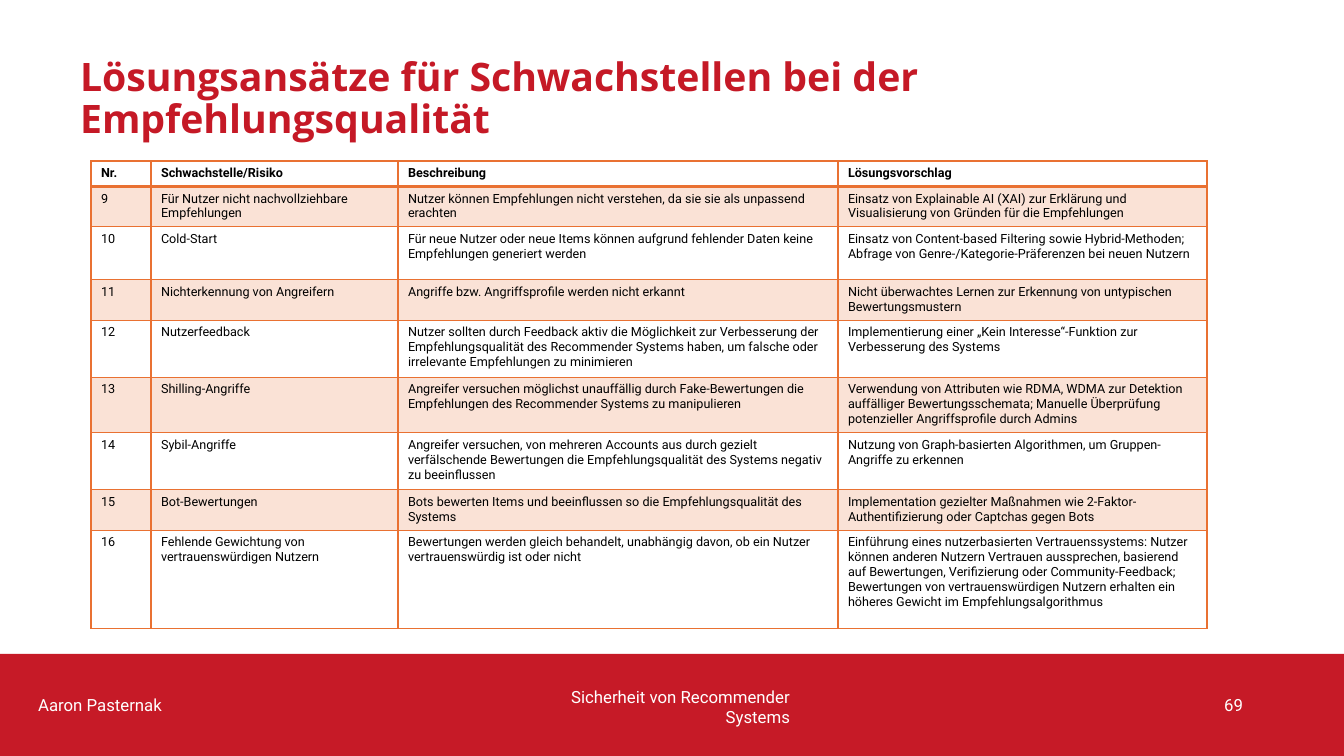
from lxml import etree
from pptx import Presentation
from pptx.dml.color import RGBColor
from pptx.enum.shapes import MSO_SHAPE
from pptx.enum.text import MSO_ANCHOR, MSO_AUTO_SIZE, PP_ALIGN
from pptx.oxml.ns import qn
from pptx.util import Pt

RECTANGLE = MSO_SHAPE.RECTANGLE
MIDDLE = MSO_ANCHOR.MIDDLE
NO_FIT = MSO_AUTO_SIZE.NONE
LEFT = PP_ALIGN.LEFT
RIGHT = PP_ALIGN.RIGHT

EMU_PER_PX = 12192000 / 1344
POINT = 12700
TITLE_ONLY = 5

COLORS = {
    "title": "C51926",
    "band": "C61A27",
    "accent": "E97132",
    "text": "000000",
    "light": "FFFFFF",
}

FONTS = {
    "title": {"name": "Open Sans", "size": Pt(28), "bold": True},
    "footer": {"name": "Roboto", "size": Pt(12)},
    "header": {"name": "Roboto", "size": Pt(9), "bold": True},
    "body": {"name": "Roboto", "size": Pt(9), "bold": False},
}

TITLE = "Lösungsansätze für Schwachstellen bei der\vEmpfehlungsqualität"
COLUMN_WIDTHS = [60, 247, 440, 369]
ROW_HEIGHTS = [25, 40, 53, 39, 57, 54, 57, 39, 98]
ROWS = [
    ("Nr.", "Schwachstelle/Risiko", "Beschreibung", "Lösungsvorschlag"),
    ("9", "Für Nutzer nicht nachvollziehbare Empfehlungen",
     "Nutzer können Empfehlungen nicht verstehen, da sie sie als unpassend erachten",
     "Einsatz von Explainable AI (XAI) zur Erklärung und Visualisierung von Gründen "
     "für die Empfehlungen"),
    ("10", "Cold-Start",
     "Für neue Nutzer oder neue Items können aufgrund fehlender Daten keine "
     "Empfehlungen generiert werden",
     "Einsatz von Content-based Filtering sowie Hybrid-Methoden; Abfrage von "
     "Genre-/Kategorie-Präferenzen bei neuen Nutzern"),
    ("11", "Nichterkennung von Angreifern",
     "Angriffe bzw. Angriffsprofile werden nicht erkannt",
     "Nicht überwachtes Lernen zur Erkennung von untypischen Bewertungsmustern"),
    ("12", "Nutzerfeedback",
     "Nutzer sollten durch Feedback aktiv die Möglichkeit zur Verbesserung der "
     "Empfehlungsqualität des Recommender Systems haben, um falsche oder "
     "irrelevante Empfehlungen zu minimieren",
     "Implementierung einer „Kein Interesse“-Funktion zur Verbesserung des Systems"),
    ("13", "Shilling-Angriffe",
     "Angreifer versuchen möglichst unauffällig durch Fake-Bewertungen die "
     "Empfehlungen des Recommender Systems zu manipulieren",
     "Verwendung von Attributen wie RDMA, WDMA zur Detektion auffälliger "
     "Bewertungsschemata; Manuelle Überprüfung potenzieller Angriffsprofile "
     "durch Admins"),
    ("14", "Sybil-Angriffe",
     "Angreifer versuchen, von mehreren Accounts aus durch gezielt verfälschende "
     "Bewertungen die Empfehlungsqualität des Systems negativ zu beeinflussen",
     "Nutzung von Graph-basierten Algorithmen, um Gruppen-Angriffe zu erkennen"),
    ("15", "Bot-Bewertungen",
     "Bots bewerten Items und beeinflussen so die Empfehlungsqualität des Systems",
     "Implementation gezielter Maßnahmen wie 2-Faktor-Authentifizierung oder "
     "Captchas gegen Bots"),
    ("16", "Fehlende Gewichtung von vertrauenswürdigen Nutzern",
     "Bewertungen werden gleich behandelt, unabhängig davon, ob ein Nutzer "
     "vertrauenswürdig ist oder nicht",
     "Einführung eines nutzerbasierten Vertrauenssystems: Nutzer können anderen "
     "Nutzern Vertrauen aussprechen, basierend auf Bewertungen, Verifizierung oder "
     "Community-Feedback; Bewertungen von vertrauenswürdigen Nutzern erhalten ein "
     "höheres Gewicht im Empfehlungsalgorithmus"),
]
FOOTER_TEXTS = [
    ("Aaron Pasternak", -130, 31),
    ("Sicherheit von Recommender Systems", 498, 33),
    ("69", 951, 31),
]


def px(length):
    return round(length * EMU_PER_PX)


def color(name):
    return RGBColor.from_string(COLORS[name])


def set_attributes(target, values):
    for name, value in values.items():
        setattr(target, name, value)


def write_text(text_frame, text, font, color_name, **paragraph_format):
    text_frame.text = text
    paragraph = text_frame.paragraphs[0]
    set_attributes(paragraph, paragraph_format)
    for run in paragraph.runs:
        set_attributes(run.font, FONTS[font])
        run.font.color.rgb = color(color_name)


def add_title(slide, left, top, width, height):
    title = slide.shapes.title
    set_attributes(title, {"left": px(left), "top": px(top),
                           "width": px(width), "height": px(height)})
    set_attributes(title.text_frame, {"vertical_anchor": MIDDLE, "word_wrap": True,
                                      "auto_size": NO_FIT})
    write_text(title.text_frame, TITLE, "title", "title",
               alignment=LEFT, line_spacing=0.9)


def add_footer(slide, left, top, width, height):
    band = slide.shapes.add_shape(RECTANGLE, px(left), px(top), px(width), px(height))
    band.shadow.inherit = False
    band.fill.solid()
    band.fill.fore_color.rgb = color("band")
    band.line.fill.background()
    for text, offset_x, offset_y in FOOTER_TEXTS:
        box = slide.shapes.add_textbox(px(left + offset_x), px(top + offset_y),
                                       px(302), px(40))
        set_attributes(box.text_frame, {"word_wrap": True, "vertical_anchor": MIDDLE})
        write_text(box.text_frame, text, "footer", "light", alignment=RIGHT)


def add_borders(cell, widths):
    properties = cell._tc.get_or_add_tcPr()
    for side, points in widths.items():
        line = etree.SubElement(properties, qn(f"a:ln{side}"), w=str(points * POINT))
        fill = etree.SubElement(line, qn("a:solidFill"))
        etree.SubElement(fill, qn("a:srgbClr"), val=COLORS["accent"])


def fill_cell(cell, shaded):
    if not shaded:
        cell.fill.background()
        return
    cell.fill.solid()
    cell.fill.fore_color.rgb = color("accent")
    fill_color = cell._tc.tcPr.find(f"{qn('a:solidFill')}/{qn('a:srgbClr')}")
    etree.SubElement(fill_color, qn("a:alpha"), val="20000")


def add_risk_table(slide, left, top):
    frame = slide.shapes.add_table(len(ROWS), len(COLUMN_WIDTHS), px(left), px(top),
                                   px(sum(COLUMN_WIDTHS)), px(sum(ROW_HEIGHTS)))
    table = frame.table
    table.horz_banding = False
    for column, width in zip(table.columns, COLUMN_WIDTHS):
        column.width = px(width)
    for row_index, texts in enumerate(ROWS):
        table.rows[row_index].height = px(ROW_HEIGHTS[row_index])
        font = "header" if row_index == 0 else "body"
        widths = {"L": 1, "R": 1, "T": 2 if row_index == 1 else 1,
                  "B": 2 if row_index == 0 else 1}
        for column_index, text in enumerate(texts):
            cell = table.cell(row_index, column_index)
            write_text(cell.text_frame, text, font, "text")
            add_borders(cell, widths)
            fill_cell(cell, row_index % 2 == 1)


def main():
    presentation = Presentation()
    presentation.slide_width = px(1344)
    presentation.slide_height = px(756)
    slide = presentation.slides.add_slide(presentation.slide_layouts[TITLE_ONLY])
    add_title(slide, 70, 40, 1159, 119)
    add_footer(slide, 0, 654, 1344, 102)
    add_risk_table(slide, 91, 161)
    presentation.save("out.pptx")


if __name__ == "__main__":
    main()
